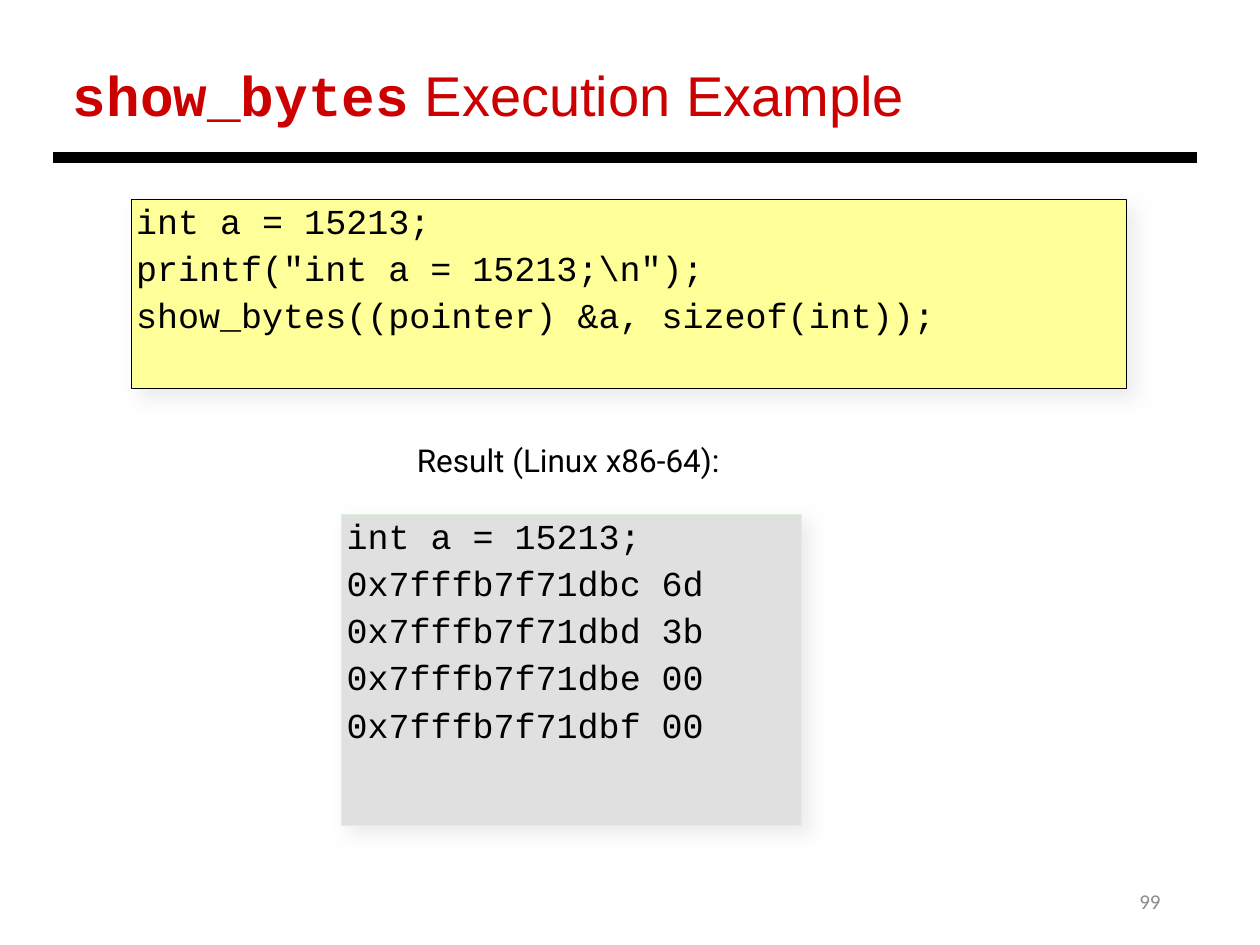
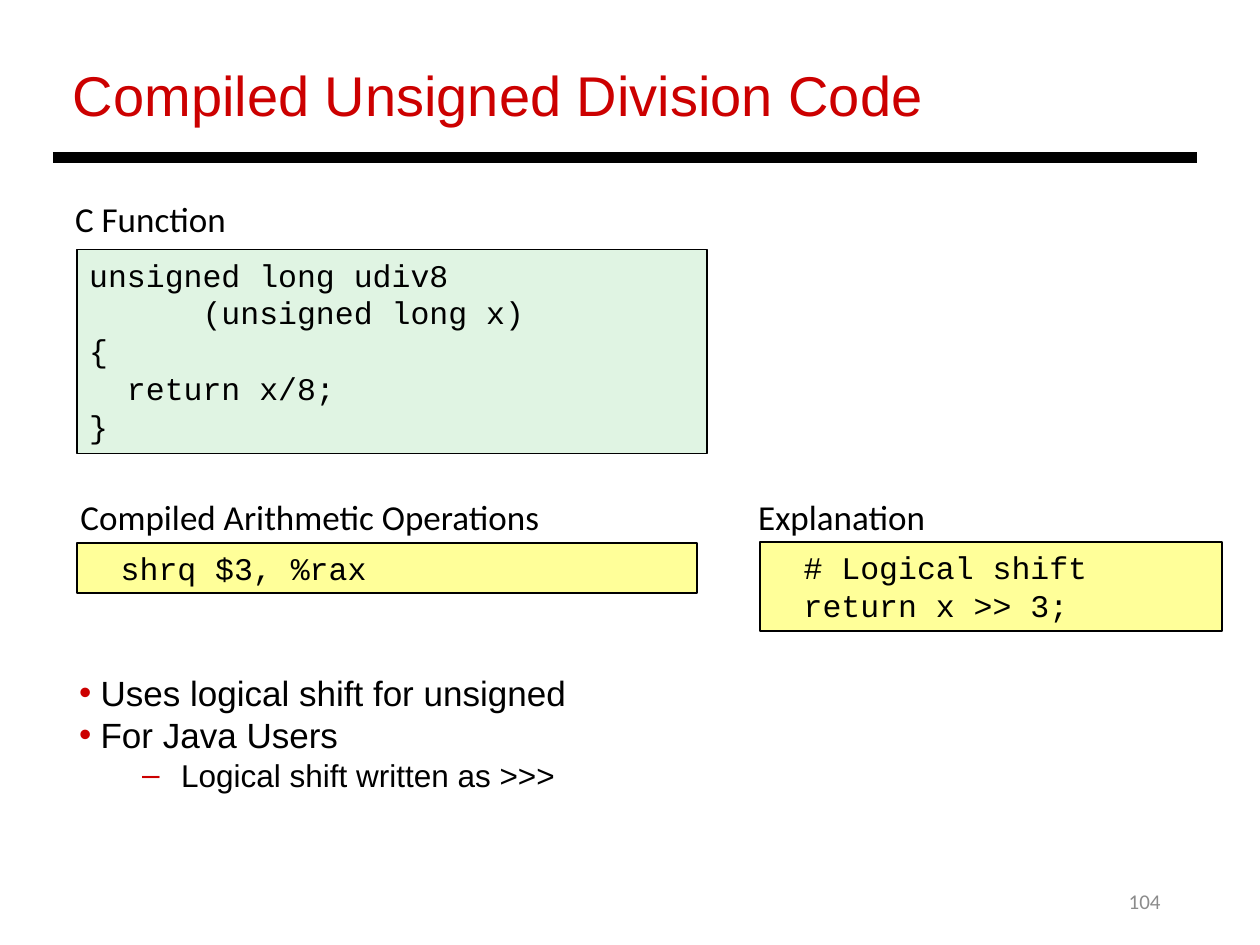
from lxml import etree
from pptx import Presentation
from pptx import util as u
from pptx.dml.color import RGBColor
from pptx.enum import shapes, text
from pptx.oxml import parse_xml
from pptx.oxml.ns import nsdecls, qn

PX = u.Inches(1) // 100
RED, BLACK, GREY = "CC0000", "000000", "8C8C8C"
YELLOW, GREEN, SILVER, PALE_GREEN = "FFFF99", "E0F4E3", "E0E0E0", "DBF2DA"

TITLE = dict(name="Arial", size=32, color=RED)
TITLE_CODE = dict(name="Courier New", size=32, color=RED, bold=True)
NUMBER = dict(name="Calibri", size=12, color=GREY)
LABEL = dict(name="Calibri", size=20, color=BLACK)
RESULT_LABEL = dict(name="Roboto", size=18, color=BLACK)
BODY = dict(name="Arial", size=20, color=BLACK)
SUB_BODY = {**BODY, "size": 18}
CODE = dict(name="Courier New", size=18, color=BLACK)
LARGE_CODE = {**CODE, "size": 20}


def rgb(value):
    return RGBColor.from_string(value)


def px(*lengths):
    return [length * PX for length in lengths]


def add_run(paragraph, words, style):
    run = paragraph.add_run()
    run.text = words
    for key, value in style.items():
        if key == "color":
            run.font.color.rgb = rgb(value)
        else:
            setattr(run.font, key, u.Pt(value) if key == "size" else value)


def paragraphs(frame, count):
    """Return the frame's first paragraph and as many new ones as needed."""
    return [frame.paragraphs[0]] + [frame.add_paragraph() for _ in range(count - 1)]


def set_frame(frame, margins=(10, 5, 10, 5), **settings):
    settings = dict(word_wrap=True, vertical_anchor=text.MSO_ANCHOR.TOP,
                    auto_size=text.MSO_AUTO_SIZE.NONE) | settings
    for side, margin in zip(("left", "top", "right", "bottom"), margins):
        setattr(frame, f"margin_{side}", margin * PX)
    for key, value in settings.items():
        setattr(frame, key, value)


def add_line_of_text(slide, box, runs, align=text.PP_ALIGN.LEFT, **settings):
    frame = slide.shapes.add_textbox(*px(*box)).text_frame
    set_frame(frame, **settings)
    frame.paragraphs[0].alignment = align
    for words, style in runs:
        add_run(frame.paragraphs[0], words, style)
    return frame


def add_label(slide, box, words, style=LABEL, margins=(5, 5, 5, 5)):
    return add_line_of_text(slide, box, [(words, style)], text.PP_ALIGN.CENTER,
                            margins=margins, word_wrap=False,
                            auto_size=text.MSO_AUTO_SIZE.SHAPE_TO_FIT_TEXT)


def add_shadow(shape):
    effects = shape._element.spPr.find(qn("a:effectLst"))
    effects.append(parse_xml(
        f'<a:outerShdw {nsdecls("a")} blurRad="{u.Pt(10)}" dist="{u.Pt(6)}" '
        'dir="2700000" algn="tl" rotWithShape="0"><a:srgbClr val="E7E6E6">'
        '<a:alpha val="75000"/></a:srgbClr></a:outerShdw>'))


def indent(paragraph, left, first=0):
    properties = paragraph._p.get_or_add_pPr()
    properties.set("marL", str(left * PX))
    properties.set("indent", str(first * PX))
    return properties


def add_bullet(paragraph, mark, left, first):
    properties = indent(paragraph, left, first)
    color = etree.SubElement(properties, qn("a:buClr"))
    etree.SubElement(color, qn("a:srgbClr"), val=RED)
    etree.SubElement(properties, qn("a:buFont"), typeface="Arial")
    etree.SubElement(properties, qn("a:buChar"), char=mark)


def add_tab(paragraph, position):
    tabs = etree.SubElement(paragraph._p.get_or_add_pPr(), qn("a:tabLst"))
    etree.SubElement(tabs, qn("a:tab"), pos=str(position * PX), algn="l")


def add_panel(slide, box, fill, border, weight):
    panel = slide.shapes.add_shape(shapes.MSO_SHAPE.RECTANGLE, *px(*box))
    panel.shadow.inherit = False
    panel.fill.solid()
    panel.fill.fore_color.rgb = rgb(fill)
    panel.line.color.rgb = rgb(border)
    panel.line.width = u.Pt(weight)
    return panel


def add_shadowed_code(slide, box, lines, fill, border=BLACK):
    panel = add_panel(slide, box, fill, border, 0.5)
    add_shadow(panel)
    set_frame(panel.text_frame, margins=(0, 0, 4, 0))
    for index, line in enumerate(paragraphs(panel.text_frame, len(lines))):
        line.alignment = text.PP_ALIGN.LEFT
        indent(line, 4)
        if index:
            line.space_before = u.Pt(3)
        add_run(line, lines[index], LARGE_CODE)


def add_labelled_code(slide, box, label, label_box, lines, fill, tab=None):
    """Place a framed listing; label_box is relative to the listing's corner."""
    left, top = box[:2]
    dx, dy, width, height = label_box
    panel = add_panel(slide, box, fill, BLACK, 1)
    set_frame(panel.text_frame, auto_size=text.MSO_AUTO_SIZE.SHAPE_TO_FIT_TEXT)
    for line, words in zip(paragraphs(panel.text_frame, len(lines)), lines):
        line.alignment = text.PP_ALIGN.LEFT
        if tab:
            add_tab(line, tab)
        add_run(line, words, CODE)
    add_label(slide, (left + dx, top + dy, width, height), label)


def add_notes_list(slide, box, items):
    frame = slide.shapes.add_textbox(*px(*box)).text_frame
    set_frame(frame, auto_size=text.MSO_AUTO_SIZE.SHAPE_TO_FIT_TEXT)
    formats = [("•", 17, -17, BODY), ("–", 81, -31, SUB_BODY)]
    for line, (level, words) in zip(paragraphs(frame, len(items)), items):
        mark, left, first, style = formats[level]
        line.level = level
        add_bullet(line, mark, left, first)
        add_run(line, words, style)


def add_base_slide(deck, title_runs, title_width, number):
    slide = deck.slides.add_slide(deck.slide_layouts[6])
    add_line_of_text(slide, (706, 695, 225, 40), [(number, NUMBER)],
                     text.PP_ALIGN.RIGHT, vertical_anchor=text.MSO_ANCHOR.MIDDLE)
    add_line_of_text(slide, (48, 43, title_width, 64), title_runs, word_wrap=False,
                     auto_size=text.MSO_AUTO_SIZE.SHAPE_TO_FIT_TEXT)
    rule = slide.shapes.add_connector(shapes.MSO_CONNECTOR.STRAIGHT,
                                      *px(42, 125, 950, 125))
    rule.line.color.rgb = rgb(BLACK)
    rule.line.width = u.Pt(6)
    etree.SubElement(rule._element.spPr, qn("a:effectLst"))
    return slide


def build_execution_slide(deck):
    slide = add_base_slide(deck, [("show_bytes", TITLE_CODE),
                                  (" Execution Example", TITLE)], 686, "99")
    add_shadowed_code(slide, (104, 158, 790, 150), [
        "int a = 15213;",
        'printf("int a = 15213;\\n");',
        "show_bytes((pointer) &a, sizeof(int));"], YELLOW)
    result = add_label(slide, (274, 350, 354, 40), "Result (Linux x86-64):",
                       RESULT_LABEL, margins=(0, 0, 4, 0))
    indent(result.paragraphs[0], 4)
    dumped = [("c", "6d"), ("d", "3b"), ("e", "00"), ("f", "00")]
    add_shadowed_code(slide, (271, 408, 365, 247), ["int a = 15213;"] + [
        f"0x7fffb7f71db{digit}\t{byte}" for digit, byte in dumped],
        SILVER, PALE_GREEN)


def build_division_slide(deck):
    slide = add_base_slide(deck, [("Compiled Unsigned Division Code", TITLE)],
                           700, "104")
    add_notes_list(slide, (53, 528, 897, 108), [
        (0, "Uses logical shift for unsigned"),
        (0, "For Java Users"),
        (1, "Logical shift written as >>>")])
    add_labelled_code(slide, (61, 431, 492, 40), "Compiled Arithmetic Operations",
                      (-8, -43, 386, 44), ["\tshrq\t$3, %rax"], YELLOW, tab=25)
    add_labelled_code(slide, (61, 198, 500, 162), "C Function", (-8, -46, 133, 44), [
        "unsigned long udiv8",
        "      (unsigned long x)",
        "{",
        "  return x/8;",
        "}"], GREEN)
    add_labelled_code(slide, (603, 430, 367, 71), "Explanation", (-9, -42, 148, 44),
                      ["\t# Logical shift", "\treturn x >> 3;"], YELLOW, tab=25)


def main():
    deck = Presentation()
    deck.slide_width, deck.slide_height = px(1000, 750)
    build_execution_slide(deck)
    build_division_slide(deck)
    deck.save("out.pptx")


if __name__ == "__main__":
    main()
